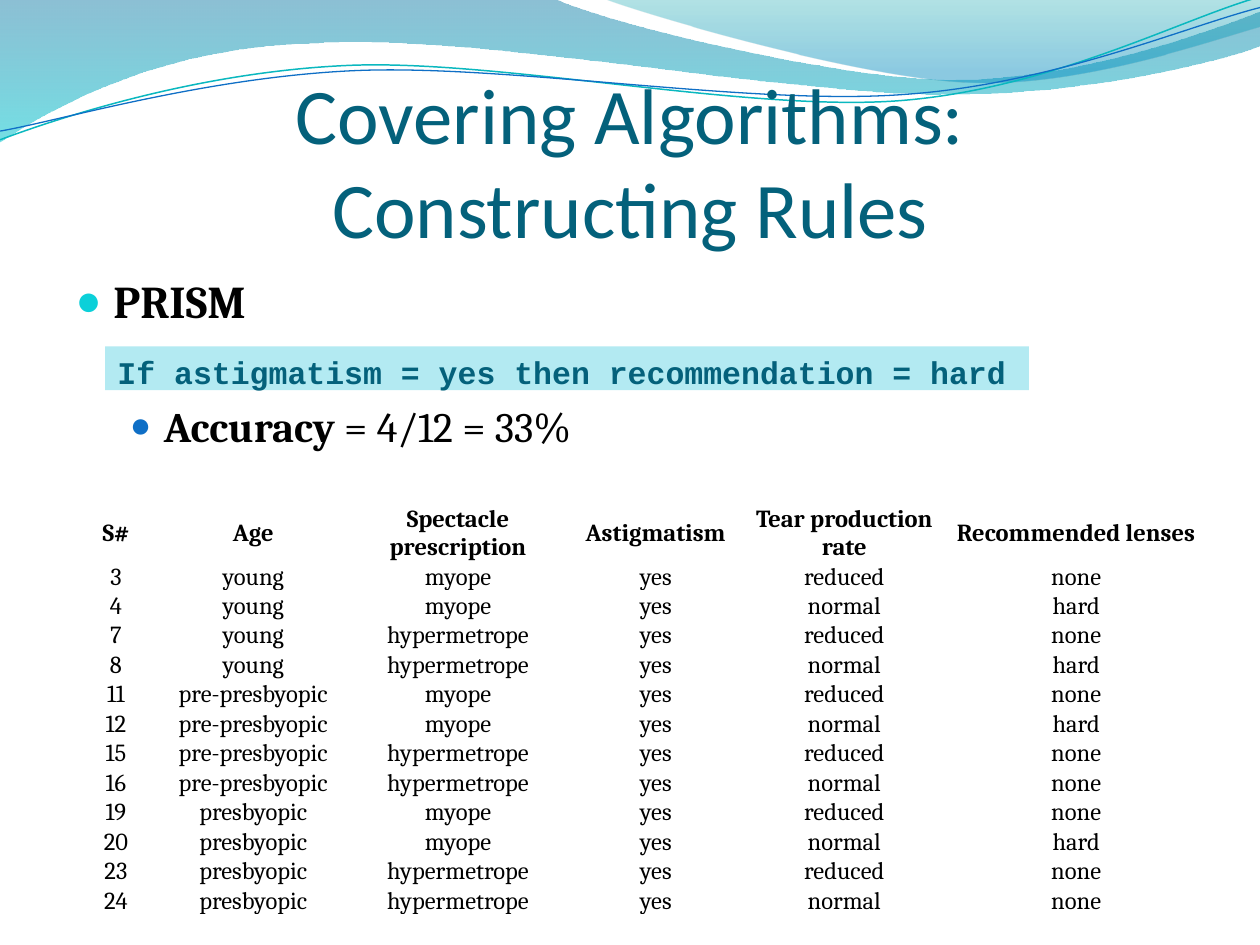
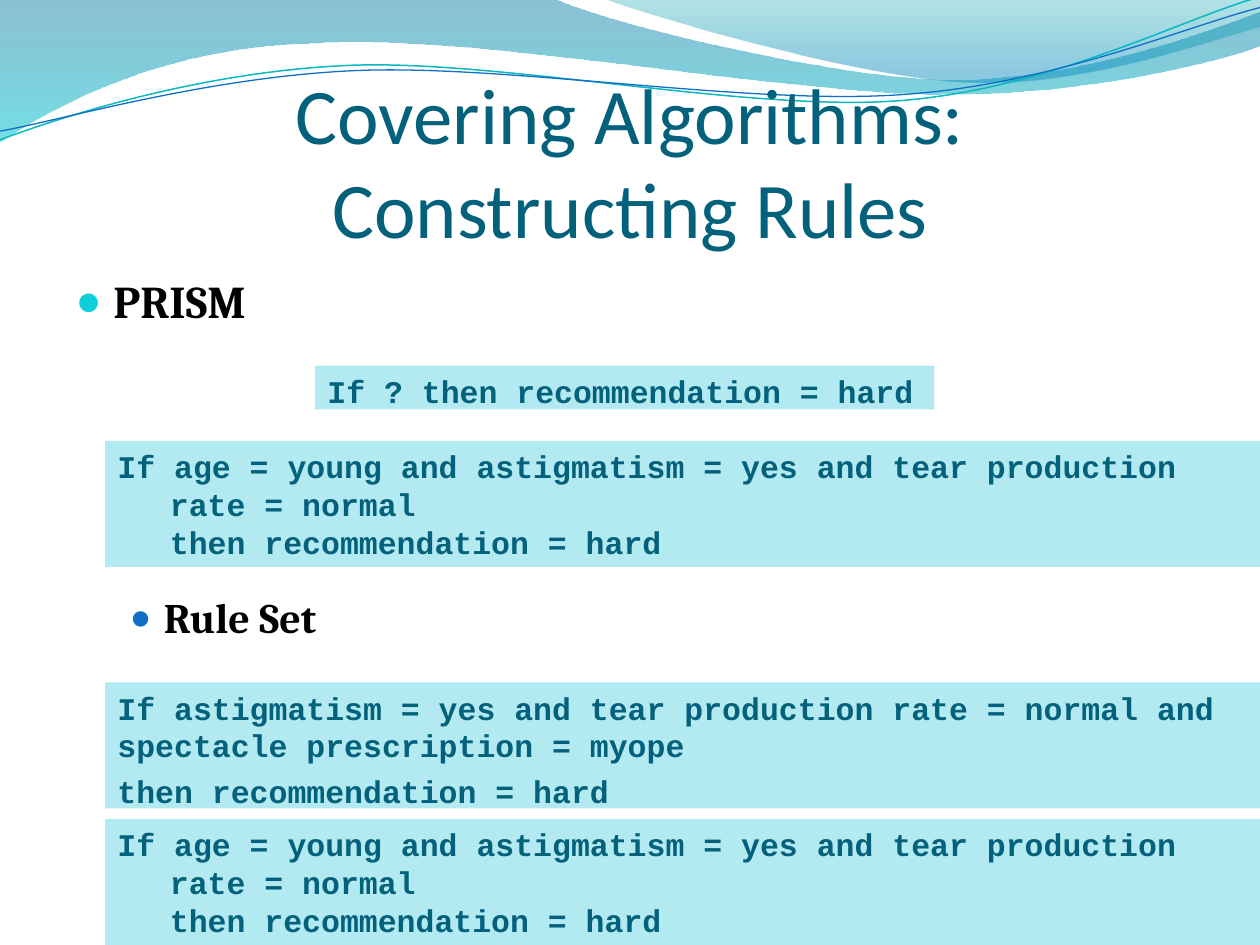
import itertools

import pptx
import pptx.dml.color
import pptx.enum.shapes
import pptx.enum.text
import pptx.oxml
import pptx.oxml.ns
import pptx.util
from lxml import etree

Pt = pptx.util.Pt
qn = pptx.oxml.ns.qn
ANCHOR = pptx.enum.text.MSO_ANCHOR
ALIGN = pptx.enum.text.PP_ALIGN

# Shared style
TEAL, BLACK, WHITE, CODE_FILL = "04617B", "000000", "FFFFFF", "B3EAF2"
TITLE_FONT, BODY_FONT, CODE_FONT = "Calibri", "Cambria", "Courier New"
TITLE_TEXT = "Covering Algorithms:\vConstructing Rules"
TITLE_BOX = (0, 55.5, 720, 90)
BODY_BOX = (36, 152.6, 684, 387.4)
CODE_LEFT, CODE_WIDTH, CODE_HEIGHT = 60, 660, 72
# Per list level: left indent, hanging indent, text size, bullet colour, bullet percent
LEVELS = [(21.6, 21.6, 26, "0BD0D9", 95), (50.4, 19.4, 24, "0F6FC6", 85)]
LINE_STEP = 36.5  # height of one free line in the list

# Waves: a start point, then lines (2 numbers) and curves (6 numbers)
WIDE_BAND = [
    (0, 0), (316.8, -0.7),
    (342.7, 12.2, 478, 45.4, 545.8, 45.4), (614.2, 45.4, 689.8, 18.7, 720, 6.5),
    (720.7, 25.9),
    (707.8, 31.7, 626.4, 54.7, 537.1, 54), (447.8, 54, 275, 20.2, 185, 24.5),
    (92.9, 25.9, 33.1, 59.8, -0.7, 81.4)]
RIGHT_BAND = [
    (344.9, -0.7),
    (366.5, 7.9, 491, 44.6, 553.7, 46.8), (616.3, 49.7, 691.9, 23, 720, 15.1),
    (720, 0)]
GREEN_LINE = [
    (0, 79.9), (34.6, 67, 113.8, 41, 199.4, 37.4),
    (284.4, 33.8, 427, 64.1, 513.4, 57.6), (599.8, 51.1, 675.4, 10.8, 718.6, -1.4)]
BLUE_LINE = [
    (0, 74.9), (33.8, 69.1, 118.1, 43.9, 203.8, 40.3),
    (290.2, 36.7, 429.8, 60.5, 516.2, 54), (601.9, 48.2, 677.5, 15.1, 720, 4.3)]


def color(hex_string):
    return pptx.dml.color.RGBColor.from_string(hex_string)


def format_run(run, font, size, hex_string, bold=False):
    run.font.name, run.font.size, run.font.bold = font, Pt(size), bold
    run.font.color.rgb = color(hex_string)


def place(shape, box):
    shape.left, shape.top, shape.width, shape.height = map(Pt, box)


# Waves on the master
def draw_wave(slide, segments, closed):
    points = [[segment[i:i + 2] for i in range(0, len(segment), 2)]
              for segment in segments]
    start = points[0][0]
    builder = slide.shapes.build_freeform(Pt(start[0]), Pt(start[1]))
    builder.add_line_segments(
        [(Pt(x), Pt(y)) for group in points[1:] for x, y in group], close=closed)
    shape = builder.convert_to_shape()
    shape.shadow.inherit = False
    # Join each three points of a curve into one Bezier step
    steps = iter(list(shape.element.iter(qn("a:lnTo"))))
    for group in points[1:]:
        first, *others = itertools.islice(steps, len(group))
        if others:
            first.tag = qn("a:cubicBezTo")
        for other in others:
            first.append(other[0])
            other.getparent().remove(other)
    return shape


def draw_band(slide, segments, stops):
    shape = draw_wave(slide, segments, True)
    shape.line.fill.background()
    shape.fill.gradient()
    shape.fill.gradient_angle = 270
    for stop, (position, hex_string, _) in zip(shape.fill.gradient_stops, stops):
        stop.position = position
        stop.color.rgb = color(hex_string)
    for element, (_, _, opacity) in zip(shape.element.iter(qn("a:gs")), stops):
        etree.SubElement(element[0], qn("a:alpha"), val=str(opacity * 1000))
    return shape


def draw_line(slide, segments, hex_string, width):
    shape = draw_wave(slide, segments, False)
    shape.fill.background()
    shape.line.color.rgb = color(hex_string)
    shape.line.width = Pt(width)
    return shape


def add_waves_to_master(slide):
    waves = [
        draw_band(slide, WIDE_BAND, [(0, "0074A1", 45), (1, "00C6CF", 55)]),
        draw_band(slide, RIGHT_BAND, [(0, "00A1A9", 30), (0.8, "008BBF", 45)]),
        draw_line(slide, GREEN_LINE, "0AB8BF", 0.85),
        draw_line(slide, BLUE_LINE, "0F6FC6", 0.75)]
    tree = slide.slide_layout.slide_master.element.cSld.spTree
    for index, wave in enumerate(waves):
        wave.element.nvSpPr.cNvPr.set("id", str(100 + index))
        tree.insert(2 + index, wave.element)


# Title and list
def fill_title(slide, box):
    title = slide.shapes.title
    place(title, box)
    frame = title.text_frame
    frame.text = TITLE_TEXT
    frame.auto_size = pptx.enum.text.MSO_AUTO_SIZE.NONE
    frame.vertical_anchor = ANCHOR.BOTTOM
    frame.margin_left = frame.margin_right = frame.margin_bottom = 0
    paragraph = frame.paragraphs[0]
    paragraph.alignment = ALIGN.CENTER
    for run in paragraph.runs:
        format_run(run, TITLE_FONT, 45, TEAL)


def format_list_item(paragraph, level):
    left, hanging, size, bullet_color, percent = LEVELS[level]
    paragraph.level = level
    properties = paragraph._p.get_or_add_pPr()
    properties.set("marL", str(Pt(left)))
    properties.set("indent", str(-Pt(hanging)))
    bullet = etree.SubElement(properties, qn("a:buClr"))
    etree.SubElement(bullet, qn("a:srgbClr"), val=bullet_color)
    etree.SubElement(properties, qn("a:buSzPct"), val=str(percent * 1000))
    etree.SubElement(properties, qn("a:buFont"), typeface="Arial")
    etree.SubElement(properties, qn("a:buChar"), char="●")
    for index, run in enumerate(paragraph.runs):
        format_run(run, BODY_FONT, size, BLACK, bold=index == 0)


def fill_body(slide, box, item_runs, free_lines):
    """Place PRISM and one sub-item, with free lines for code between them."""
    body = slide.placeholders[1]
    place(body, box)
    frame = body.text_frame
    frame.text = "PRISM"
    frame.auto_size = pptx.enum.text.MSO_AUTO_SIZE.NONE
    format_list_item(frame.paragraphs[0], 0)
    item = frame.add_paragraph()
    for text in item_runs:
        item.add_run().text = text
    format_list_item(item, 1)
    item.space_before = Pt(4.8 + free_lines * LINE_STEP)


# Code box
def add_code(slide, box, text, hanging=0):
    shape = slide.shapes.add_shape(
        pptx.enum.shapes.MSO_SHAPE.RECTANGLE, *map(Pt, box))
    shape.shadow.inherit = False
    shape.fill.solid()
    shape.fill.fore_color.rgb = color(CODE_FILL)
    shape.line.fill.background()
    frame = shape.text_frame
    frame.word_wrap = True
    frame.vertical_anchor = ANCHOR.TOP
    frame.text = text
    for paragraph in frame.paragraphs:
        paragraph.alignment = ALIGN.LEFT
        paragraph.space_before = Pt(4.5)
        if hanging:
            properties = paragraph._p.get_or_add_pPr()
            properties.set("marL", str(Pt(hanging)))
            properties.set("indent", str(-Pt(hanging)))
        for run in paragraph.runs:
            format_run(run, CODE_FONT, 18, TEAL, bold=True)


# Table of patients with astigmatism
def patient_rows():
    yield ("S#", "Age", "Spectacle prescription", "Astigmatism",
           "Tear production rate", "Recommended lenses")
    cases = itertools.product(("young", "pre-presbyopic", "presbyopic"),
                              ("myope", "hypermetrope"), ("reduced", "normal"))
    for index, (age, prescription, tears) in enumerate(cases):
        number = 4 * (index // 2) + 3 + index % 2
        fits = tears == "normal" and (prescription == "myope" or age == "young")
        yield (str(number), age, prescription, "yes", tears,
               "hard" if fits else "none")


def format_cell(cell, text, bold):
    cell.text = text
    cell.vertical_anchor = ANCHOR.MIDDLE
    cell.margin_left = cell.margin_right = cell.margin_top = Pt(0.72)
    cell.margin_bottom = 0
    paragraph = cell.text_frame.paragraphs[0]
    paragraph.alignment = ALIGN.CENTER
    format_run(paragraph.runs[0], BODY_FONT, 14, BLACK, bold)
    properties = cell._tc.get_or_add_tcPr()
    for side in ("a:lnL", "a:lnR", "a:lnT", "a:lnB"):
        border = etree.SubElement(properties, qn(side), w=str(Pt(1)))
        fill = etree.SubElement(border, qn("a:solidFill"))
        etree.SubElement(fill, qn("a:srgbClr"), val=WHITE)
    cell.fill.solid()
    cell.fill.fore_color.rgb = color(WHITE)


def add_patient_table(slide, box):
    rows = list(patient_rows())
    table = slide.shapes.add_table(len(rows), len(rows[0]), *map(Pt, box)).table
    table.first_row = table.horz_banding = False
    for column, width in zip(table.columns, (60.5, 96.5, 137.5, 88.5, 127, 138)):
        column.width = Pt(width)
    for index, values in enumerate(rows):
        table.rows[index].height = Pt(16 if index else 30)
        for column, text in enumerate(values):
            format_cell(table.cell(index, column), text, bold=index == 0)


# Slides
def add_prism_slide(presentation, item_runs, free_lines):
    slide = presentation.slides.add_slide(presentation.slide_layouts[1])
    fill_title(slide, TITLE_BOX)
    fill_body(slide, BODY_BOX, item_runs, free_lines)
    return slide


def add_accuracy_slide(presentation):
    slide = add_prism_slide(presentation, ["Accuracy", " = 4/12 = 33%"], 1)
    add_patient_table(slide, (36, 288, 648, 222))
    add_code(slide, (CODE_LEFT, 198, 528, 25),
             "If astigmatism = yes then recommendation = hard")
    return slide


def add_rule_set_slide(presentation):
    slide = add_prism_slide(presentation, ["Rule Set"], 4)
    young_rule = ("If age = young and astigmatism = yes and tear production "
                  "rate = normal\vthen recommendation = hard")
    myope_rule = ("If astigmatism = yes and tear production rate = normal and "
                  "spectacle prescription = myope\nthen recommendation = hard")
    add_code(slide, (180, 209, 354, 25), "If ? then recommendation = hard")
    for top, text, hanging in ((252, young_rule, 30), (390, myope_rule, 0),
                               (468, young_rule, 30)):
        add_code(slide, (CODE_LEFT, top, CODE_WIDTH, CODE_HEIGHT), text, hanging)


presentation = pptx.Presentation()
presentation.slide_width, presentation.slide_height = Pt(720), Pt(540)
add_waves_to_master(add_accuracy_slide(presentation))
add_rule_set_slide(presentation)
presentation.save("out.pptx")
